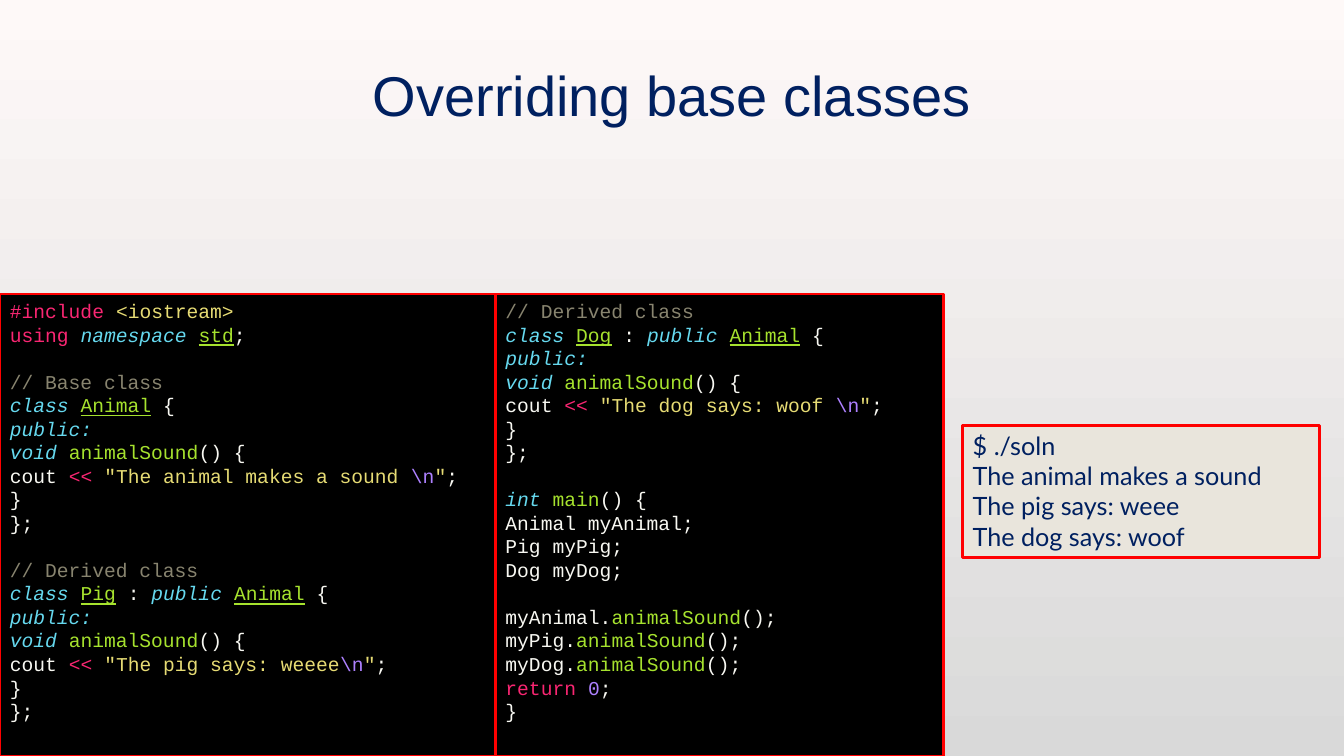
from lxml.etree import fromstring
from pptx import Presentation
from pptx.dml.color import RGBColor
from pptx.enum.shapes import MSO_SHAPE
from pptx.enum.text import MSO_ANCHOR, PP_ALIGN
from pptx.util import Pt

PX = 9525
COLORS = {
    "top": "FEF9F8", "bottom": "D9D9D9", "navy": "002060", "border": "FF0000",
    "editor": "000000", "terminal": "E9E5DC", "outline": "404040",
    "keyword": "F92672", "string": "E6DB74", "type": "66D9EF", "class": "A6E22E",
    "function": "A6E22E", "plain": "F8F8F2", "comment": "88846F", "number": "AE81FF",
}
DRAWING = 'xmlns:a="http://schemas.openxmlformats.org/drawingml/2006/main"'


def class_lines(comment, heading, message):
    """Return the code lines of a class with one animalSound method."""
    return [
        [(comment, "comment")],
        [("class ", "type"), *heading, (" {", "plain")],
        [("public:", "type")],
        [("void ", "type"), ("animalSound", "function"), ("() {", "plain")],
        [("cout ", "plain"), ("<< ", "keyword"), ('"' + message, "string"),
         ("\\n", "number"), ('"', "string"), (";", "plain")],
        [("}", "plain")],
        [("};", "plain")],
    ]


def add_panel(left, top, width, height, fill):
    panel = page.shapes.add_shape(
        MSO_SHAPE.RECTANGLE, left * PX, top * PX, width * PX, height * PX)
    panel.shadow.inherit = False
    panel.fill.solid()
    panel.fill.fore_color.rgb = RGBColor.from_string(COLORS[fill])
    panel.line.color.rgb = RGBColor.from_string(COLORS["border"])
    panel.line.width = Pt(2)
    panel.text_frame.word_wrap = True
    panel.text_frame.vertical_anchor = MSO_ANCHOR.TOP
    return panel.text_frame


deck = Presentation()
deck.slide_width, deck.slide_height = 1280 * PX, 720 * PX
page = deck.slides.add_slide(deck.slide_layouts[5])

backdrop = page.background.fill
backdrop.gradient()
backdrop.gradient_angle = 270
for stop, name, position in zip(backdrop.gradient_stops, ("top", "bottom"), (0, 1)):
    stop.color.rgb = RGBColor.from_string(COLORS[name])
    stop.position = position

# Title with a faint outline and a soft shadow
title = page.shapes.title
title.left, title.top, title.width, title.height = 96 * PX, 24 * PX, 1087 * PX, 132 * PX
title.text_frame.text = "Overriding base classes"
title.text_frame.vertical_anchor = MSO_ANCHOR.MIDDLE
para = title.text_frame.paragraphs[0]
para.alignment = PP_ALIGN.CENTER
span = para.runs[0]
span.font.name, span.font.size = "Arial", Pt(40)
span.font.color.rgb = RGBColor.from_string(COLORS["navy"])
properties = span.font.color.rgb and span._r.get_or_add_rPr()
properties.insert(0, fromstring(
    f'<a:ln {DRAWING} w="9525"><a:solidFill><a:srgbClr val="{COLORS["outline"]}">'
    '<a:alpha val="10000"/></a:srgbClr></a:solidFill></a:ln>'))
properties.insert(2, fromstring(
    f'<a:effectLst {DRAWING}><a:outerShdw blurRad="38100" dist="25400" dir="2700000">'
    '<a:srgbClr val="000000"><a:alpha val="40000"/></a:srgbClr>'
    '</a:outerShdw></a:effectLst>'))

# Code panels: blocks of lines, each line a list of (text, token kind)
animal = ("Animal", "class")
inherits = [(" : ", "plain"), ("public ", "type"), animal]
base_code = [
    [
        [("#include ", "keyword"), ("<iostream>", "string")],
        [("using ", "keyword"), ("namespace ", "type"), ("std", "class"), (";", "plain")],
    ],
    class_lines("// Base class", [animal], "The animal makes a sound "),
    class_lines("// Derived class", [("Pig", "class"), *inherits], "The pig says: weeee"),
]
main_code = [
    class_lines("// Derived class", [("Dog", "class"), *inherits], "The dog says: woof "),
    [
        [("int ", "type"), ("main", "function"), ("() {", "plain")],
        *[[(f"{name} my{name};", "plain")] for name in ("Animal", "Pig", "Dog")],
    ],
    [
        *[[(f"my{name}.", "plain"), ("animalSound", "function"), ("();", "plain")]
          for name in ("Animal", "Pig", "Dog")],
        [("return ", "keyword"), ("0", "number"), (";", "plain")],
        [("}", "plain")],
    ],
]
line_height = Pt(16.8)
for left, width, blocks in ((0, 646, base_code), (472, 427, main_code)):
    frame = add_panel(left, 280, width, 440, "editor")
    para = frame.paragraphs[0]
    for block_index, block in enumerate(blocks):
        for line_index, line in enumerate(block):
            if block_index or line_index:
                para = frame.add_paragraph()
            if block_index and line_index == 0:
                para.space_before = line_height
            para.alignment = PP_ALIGN.LEFT
            para.line_spacing = line_height
            for text, kind in line:
                span = para.add_run()
                span.text = text
                span.font.name, span.font.size = "Courier New", Pt(14)
                span.font.color.rgb = RGBColor.from_string(COLORS[kind])
                span.font.italic = kind == "type"
                span.font.underline = kind == "class"

# Program output
frame = add_panel(917, 405, 340, 126, "terminal")
frame.text = "\n".join((
    "$ ./soln", "The animal makes a sound", "The pig says: weee", "The dog says: woof"))
for para in frame.paragraphs:
    para.alignment = PP_ALIGN.LEFT
    for span in para.runs:
        span.font.name, span.font.size = "Lato", Pt(18)
        span.font.color.rgb = RGBColor.from_string(COLORS["navy"])

deck.save("out.pptx")
